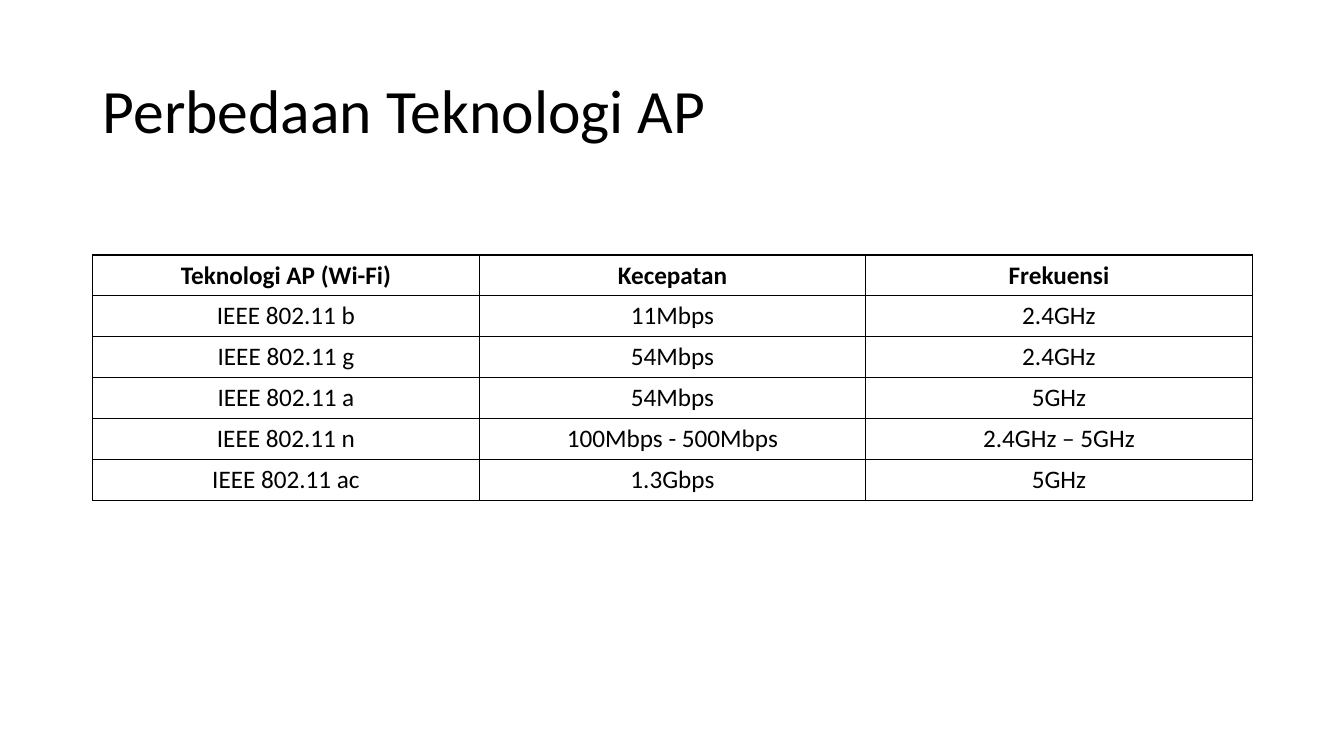
import pptx
import pptx.util
import pptx.dml.color
import pptx.enum.text
import lxml.etree
from pptx.oxml.ns import qn

TITLE = "Perbedaan Teknologi AP"
ROWS = [
    ("Teknologi AP (Wi-Fi)", "Kecepatan", "Frekuensi"),
    ("IEEE 802.11 b", "11Mbps", "2.4GHz"),
    ("IEEE 802.11 g", "54Mbps", "2.4GHz"),
    ("IEEE 802.11 a", "54Mbps", "5GHz"),
    ("IEEE 802.11 n", "100Mbps - 500Mbps", "2.4GHz – 5GHz"),
    ("IEEE 802.11 ac", "1.3Gbps", "5GHz"),
]
FONT = "Calibri"
BLACK = "000000"
LEFT, WIDTH = 0.92, 11.5
TITLE_TOP, TITLE_HEIGHT = 0.4, 1.45
TABLE_TOP, ROW_HEIGHT = 2.53, 0.405

Inches = pptx.util.Inches
Pt = pptx.util.Pt
Align = pptx.enum.text.PP_ALIGN
Anchor = pptx.enum.text.MSO_ANCHOR


def color(value):
    return pptx.dml.color.RGBColor.from_string(value)


def format_text(para, size, align, bold=False):
    para.alignment = align
    for span in para.runs:
        span.font.name = FONT
        span.font.size = Pt(size)
        span.font.bold = bold
        span.font.color.rgb = color(BLACK)


def add_borders(cell, value, points):
    properties = cell._tc.get_or_add_tcPr()
    for side in ("a:lnL", "a:lnR", "a:lnT", "a:lnB"):
        line = lxml.etree.SubElement(properties, qn(side), w=str(Pt(points)))
        fill = lxml.etree.SubElement(line, qn("a:solidFill"))
        lxml.etree.SubElement(fill, qn("a:srgbClr"), val=value)


def add_title(page):
    title = page.shapes.title
    title.left, title.top = Inches(LEFT), Inches(TITLE_TOP)
    title.width, title.height = Inches(WIDTH), Inches(TITLE_HEIGHT)
    frame = title.text_frame
    frame.text = TITLE
    frame.word_wrap = True
    frame.vertical_anchor = Anchor.MIDDLE
    para = frame.paragraphs[0]
    para.line_spacing = 0.9
    format_text(para, 44, Align.LEFT)


def add_comparison(page):
    table = page.shapes.add_table(
        len(ROWS), len(ROWS[0]), Inches(LEFT), Inches(TABLE_TOP),
        Inches(WIDTH), Inches(ROW_HEIGHT * len(ROWS))).table
    table.first_row = False
    table.horz_banding = False
    for row_index, row in enumerate(ROWS):
        for column_index, text in enumerate(row):
            cell = table.cell(row_index, column_index)
            cell.text = text
            format_text(cell.text_frame.paragraphs[0], 18, Align.CENTER, row_index == 0)
            add_borders(cell, BLACK, 1)
            cell.fill.background()


def main():
    deck = pptx.Presentation()
    deck.slide_width, deck.slide_height = Inches(13.33), Inches(7.5)
    page = deck.slides.add_slide(deck.slide_layouts[5])
    add_title(page)
    add_comparison(page)
    deck.save("out.pptx")


if __name__ == "__main__":
    main()
